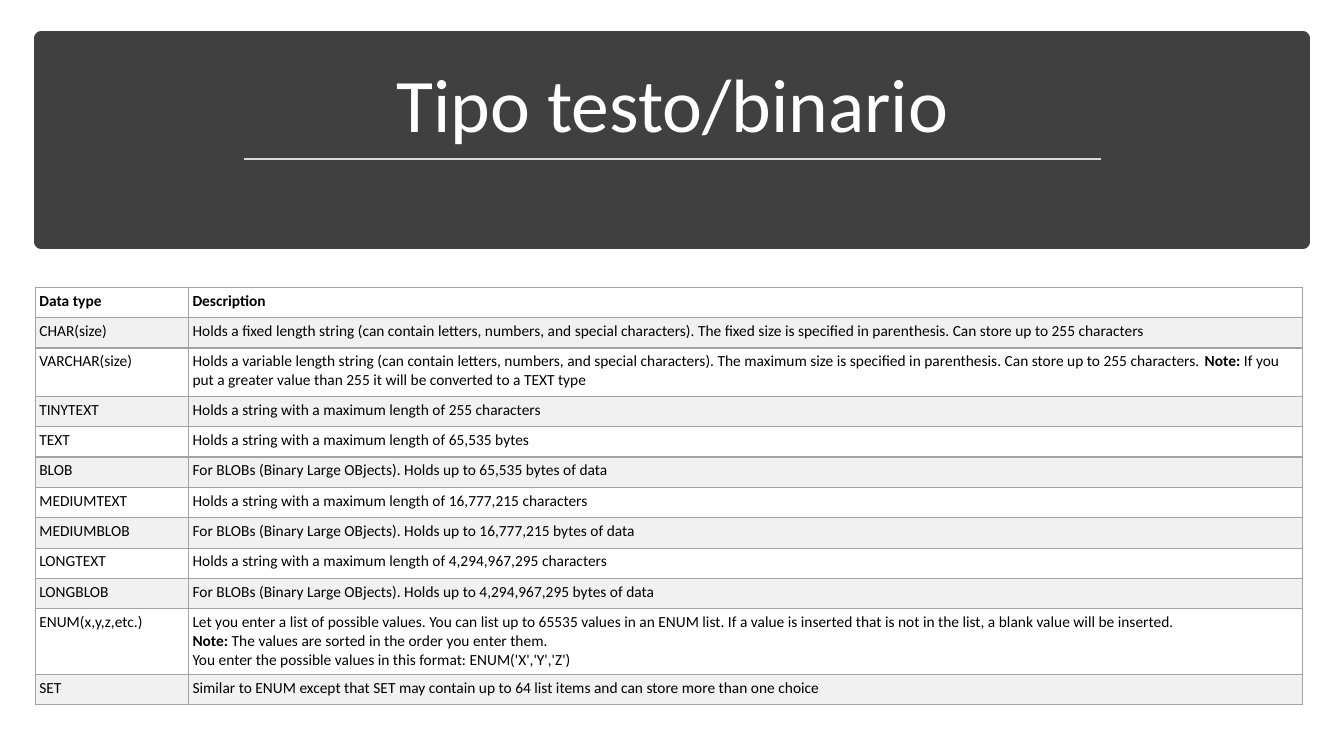
from lxml import etree
from pptx import Presentation
from pptx import util as u
from pptx.dml.color import RGBColor
from pptx.enum import shapes, text
from pptx.oxml.ns import qn

DATA_TYPES = [
    ("**Data type**", "**Description**"),
    ("CHAR(size)", "Holds a fixed length string (can contain letters, numbers, and special characters). "
     "The fixed size is specified in parenthesis. Can store up to 255 characters"),
    ("VARCHAR(size)", "Holds a variable length string (can contain letters, numbers, and special characters). "
     "The maximum size is specified in parenthesis. Can store up to 255 characters. **Note: **"
     "If you put a greater value than 255 it will be converted to a TEXT type"),
    ("TINYTEXT", "Holds a string with a maximum length of 255 characters"),
    ("TEXT", "Holds a string with a maximum length of 65,535 bytes"),
    ("BLOB", "For BLOBs (Binary Large OBjects). Holds up to 65,535 bytes of data"),
    ("MEDIUMTEXT", "Holds a string with a maximum length of 16,777,215 characters"),
    ("MEDIUMBLOB", "For BLOBs (Binary Large OBjects). Holds up to 16,777,215 bytes of data"),
    ("LONGTEXT", "Holds a string with a maximum length of 4,294,967,295 characters"),
    ("LONGBLOB", "For BLOBs (Binary Large OBjects). Holds up to 4,294,967,295 bytes of data"),
    ("ENUM(x,y,z,etc.)", "Let you enter a list of possible values. You can list up to 65535 values in an ENUM list. "
     "If a value is inserted that is not in the list, a blank value will be inserted.\n"
     "**Note: **The values are sorted in the order you enter them.\n"
     "You enter the possible values in this format: ENUM('X','Y','Z')"),
    ("SET", "Similar to ENUM except that SET may contain up to 64 list items and can store more than one choice"),
]
ROW_HEIGHT = 4.02
TALL_ROWS = {2: 6.4, 10: 8.67}


def color(value):
    return RGBColor.from_string(value)


class Deck:
    """Holds the style and the current slide, with lengths in percent of the slide."""

    font = "Calibri"
    dark, white, black = "404040", "FFFFFF", "000000"
    rule_gray, border_gray, band_gray = "D9D9D9", "A3A3A3", "F1F1F1"

    def __init__(self):
        self.presentation = Presentation()
        self.presentation.slide_width = u.Inches(13.33)
        self.presentation.slide_height = u.Inches(7.5)
        self.slide = self.presentation.slides.add_slide(self.presentation.slide_layouts[6])

    def across(self, share):
        return round(self.presentation.slide_width * share / 100)

    def down(self, share):
        return round(self.presentation.slide_height * share / 100)

    def box(self, left, top, width, height):
        return self.across(left), self.down(top), self.across(width), self.down(height)

    def add_text(self, frame, content, size, ink):
        for index, line in enumerate(content.split("\n")):
            paragraph = frame.add_paragraph() if index else frame.paragraphs[0]
            for position, part in enumerate(line.split("**")):
                if part:
                    run = paragraph.add_run()
                    run.text = part
                    run.font.name = self.font
                    run.font.size = u.Pt(size)
                    run.font.bold = position % 2 == 1
                    run.font.color.rgb = color(ink)

    def band(self, *place):
        shape = self.slide.shapes.add_shape(shapes.MSO_SHAPE.RECTANGLE, *self.box(*place))
        shape.shadow.inherit = False
        shape.fill.solid()
        shape.fill.fore_color.rgb = color(self.dark)
        shape.line.color.rgb = color(self.dark)
        shape.line.width = u.Pt(10)

    def title(self, content, *place):
        frame = self.slide.shapes.add_textbox(*self.box(*place)).text_frame
        frame.word_wrap = True
        frame.vertical_anchor = text.MSO_ANCHOR.BOTTOM
        self.add_text(frame, content, 54, self.white)
        frame.paragraphs[0].alignment = text.PP_ALIGN.CENTER
        frame.paragraphs[0].line_spacing = 0.9

    def rule(self, start, end, height):
        connector = self.slide.shapes.add_connector(
            shapes.MSO_CONNECTOR.STRAIGHT, self.across(start), self.down(height),
            self.across(end), self.down(height))
        connector.line.color.rgb = color(self.rule_gray)
        connector.line.width = u.Pt(1.75)
        etree.SubElement(connector._element.spPr, qn("a:effectLst"))

    def border(self, cell):
        properties = cell._tc.get_or_add_tcPr()
        for side in ("a:lnL", "a:lnR", "a:lnT", "a:lnB"):
            line = etree.SubElement(properties, qn(side), w=str(u.Pt(1)))
            fill = etree.SubElement(line, qn("a:solidFill"))
            etree.SubElement(fill, qn("a:srgbClr"), val=self.border_gray)

    def table(self, rows, left, top, widths, heights):
        place = self.box(left, top, sum(widths), sum(heights))
        table = self.slide.shapes.add_table(len(rows), len(widths), *place).table
        table.horz_banding = False
        for column, width in zip(table.columns, widths):
            column.width = self.across(width)
        for index, (row, height, contents) in enumerate(zip(table.rows, heights, rows)):
            row.height = self.down(height)
            for cell, content in zip(row.cells, contents):
                cell.margin_left = cell.margin_right = u.Inches(0.04)
                cell.margin_top = cell.margin_bottom = u.Inches(0.04)
                self.border(cell)
                cell.fill.solid()
                cell.fill.fore_color.rgb = color(self.band_gray if index % 2 else self.white)
                self.add_text(cell.text_frame, content, 11, self.black)


def main():
    deck = Deck()
    deck.band(3.08, 5.07, 93.85, 26.93)
    deck.title("Tipo testo/binario", 4.35, 6.8, 91.37, 13.6)
    deck.rule(18.15, 81.92, 21.07)
    heights = [TALL_ROWS.get(index, ROW_HEIGHT) for index in range(len(DATA_TYPES))]
    deck.table(DATA_TYPES, 2.63, 38, (11.4, 82.9), heights)
    deck.presentation.save("out.pptx")


if __name__ == "__main__":
    main()
